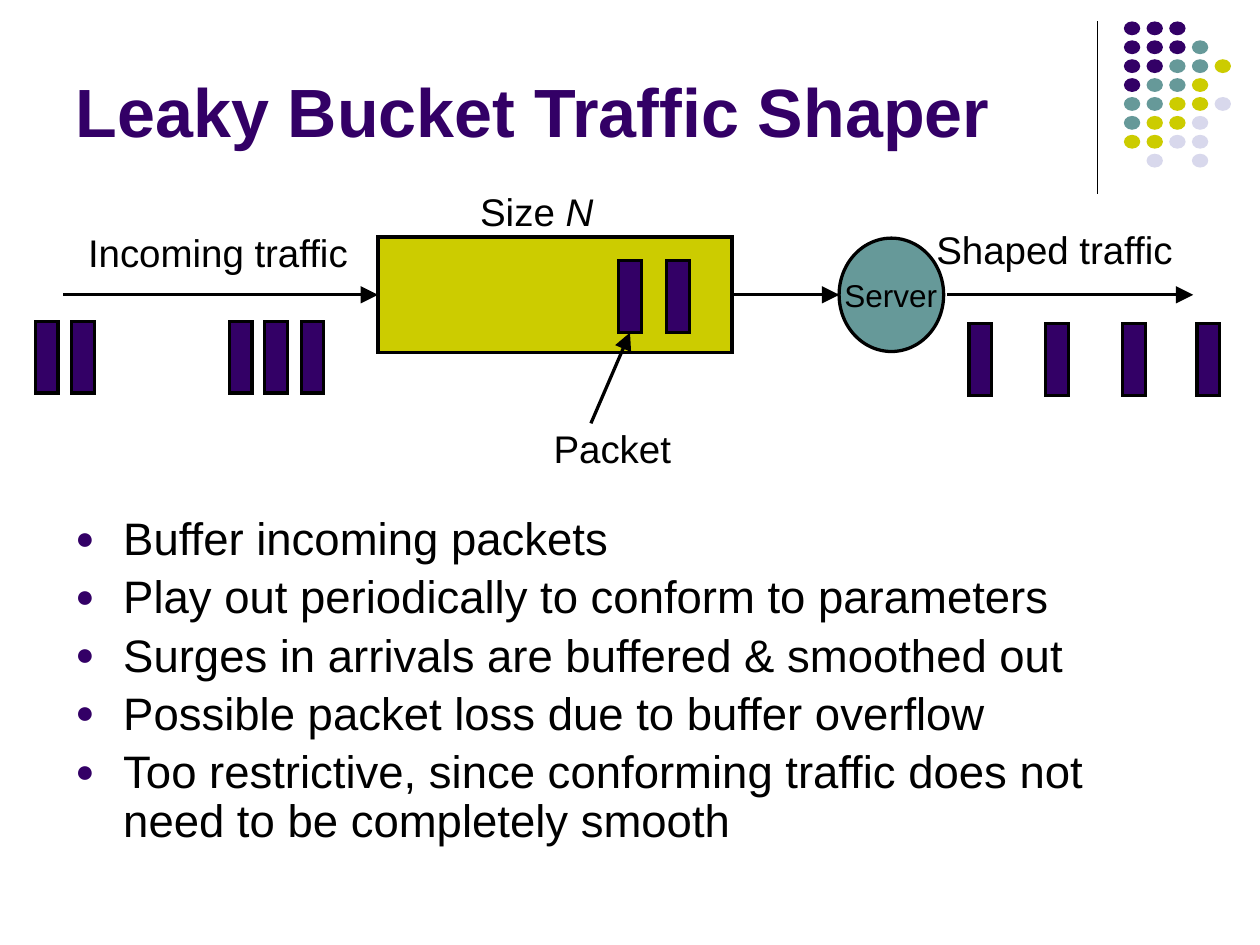
from lxml import etree
from pptx import Presentation
from pptx.dml.color import RGBColor
from pptx.enum.shapes import MSO_CONNECTOR as CONN, MSO_SHAPE as SHAPE
from pptx.enum.text import MSO_ANCHOR as ANCHOR, MSO_AUTO_SIZE as AUTO, PP_ALIGN as ALIGN
from pptx.oxml.ns import qn
from pptx.util import Inches, Pt

COLORS = {"purple": "330066", "teal": "669999", "olive": "CCCC00",
          "lilac": "D8D8EC", "black": "000000"}
RGB = {name: RGBColor.from_string(value) for name, value in COLORS.items()}

prs = Presentation()
prs.slide_width, prs.slide_height = Inches(10), Inches(7.5)
s = prs.slides.add_slide(prs.slide_layouts[5])


def add_shape(kind, x, y, w, h, fill, outlined=True):
    sp = s.shapes.add_shape(kind, Inches(x), Inches(y), Inches(w), Inches(h))
    sp.shadow.inherit = False
    sp.fill.solid()
    sp.fill.fore_color.rgb = RGB[fill]
    if outlined:
        sp.line.color.rgb = RGB["black"]
        sp.line.width = Pt(1.88)
        etree.SubElement(sp.line._get_or_add_ln(), qn("a:miter"), lim="800000")
    else:
        sp.line.fill.background()
    return sp


def add_run(p, text, size, color="black"):
    r = p.add_run()
    r.text = text
    r.font.name = "Arial"
    r.font.size = Pt(size)
    r.font.color.rgb = RGB[color]
    return r


title = s.shapes.title
title.left, title.top = Inches(0.5), Inches(0.13)
title.width, title.height = Inches(8.25), Inches(1.12)
tf = title.text_frame
tf.auto_size = AUTO.NONE
tf.vertical_anchor = ANCHOR.BOTTOM
p = tf.paragraphs[0]
p.alignment = ALIGN.LEFT
add_run(p, "Leaky Bucket Traffic Shaper", 39, "purple").font.bold = True

dot_colors = {"P": "purple", "T": "teal", "Y": "olive", "L": "lilac"}
dot_rows = ["PPP", "PPPT", "PPTTY", "PTTY", "TTYYL", "TYYL", "YYLL", " L L"]
for row, codes in enumerate(dot_rows):
    for col, code in enumerate(codes):
        if code in dot_colors:
            add_shape(SHAPE.OVAL, 8.92 + 0.18 * col, 0.17 + 0.15 * row,
                      0.13, 0.11, dot_colors[code], outlined=False)

bucket = add_shape(SHAPE.RECTANGLE, 3, 1.88, 2.81, 0.92, "olive")
server = add_shape(SHAPE.OVAL, 6.66, 1.89, 0.83, 0.9, "teal")

packet_rows = [(2.55, [0.28, 0.57, 1.82, 2.1, 2.39]),
               (2.57, [7.69, 8.3, 8.91, 9.5]),
               (2.07, [5.29, 4.91])]
for y, lefts in packet_rows:
    for x in lefts:
        packet = add_shape(SHAPE.RECTANGLE, x, y, 0.18, 0.57, "purple")

lines = [(8.71, 0.17, 8.71, 1.54, 0.75, None, None, False),
         (0.5, 2.34, 3, 2.34, 1.88, None, (bucket, 1), True),
         (5.81, 2.34, 6.66, 2.34, 1.88, (bucket, 3), None, True),
         (7.52, 2.34, 9.47, 2.34, 1.88, None, None, True),
         (4.69, 3.36, 5, 2.64, 1.88, None, (packet, 2), True)]
for x1, y1, x2, y2, width, start, end, arrow in lines:
    line = s.shapes.add_connector(CONN.STRAIGHT, Inches(x1), Inches(y1),
                                  Inches(x2), Inches(y2))
    line.line.color.rgb = RGB["black"]
    line.line.width = Pt(width)
    if start:
        line.begin_connect(*start)
    if end:
        line.end_connect(*end)
    if arrow:
        etree.SubElement(line.line._get_or_add_ln(), qn("a:tailEnd"),
                         type="triangle", w="lg", len="lg")
    etree.SubElement(line._element.spPr, qn("a:effectLst"))

labels = [(0.63, 1.82, 2.2, 0.37, 22, ["Incoming traffic"]),
          (7.37, 1.79, 2, 0.37, 22, ["Shaped traffic"]),
          (3.71, 1.49, 1.1, 0.37, 22, ["Size ", "N"]),
          (4.26, 3.37, 1.2, 0.37, 22, ["Packet"]),
          (6.62, 2.19, 0.9, 0.3, 18, ["Server"])]
for x, y, w, h, size, texts in labels:
    tf = s.shapes.add_textbox(Inches(x), Inches(y), Inches(w), Inches(h)).text_frame
    tf.margin_left = tf.margin_right = tf.margin_top = tf.margin_bottom = 0
    tf.word_wrap = False
    p = tf.paragraphs[0]
    p.alignment = ALIGN.CENTER
    for text in texts:
        r = add_run(p, text, size)
        if text == "N":
            r.font.italic = True

points = ["Buffer incoming packets",
          "Play out periodically to conform to parameters",
          "Surges in arrivals are buffered & smoothed out",
          "Possible packet loss due to buffer overflow",
          "Too restrictive, since conforming traffic does not need to be completely smooth"]
tf = s.shapes.add_textbox(Inches(0.5), Inches(4.05), Inches(9), Inches(2.91)).text_frame
tf.word_wrap = True
for i, text in enumerate(points):
    p = tf.add_paragraph() if i else tf.paragraphs[0]
    p.line_spacing = 0.9
    p.space_before = Pt(5.2)
    pPr = p._p.get_or_add_pPr()
    pPr.set("marL", str(Inches(0.38)))
    pPr.set("indent", str(-Inches(0.38)))
    bullet_color = etree.SubElement(pPr, qn("a:buClr"))
    etree.SubElement(bullet_color, qn("a:srgbClr"), val=COLORS["purple"])
    etree.SubElement(pPr, qn("a:buSzPct"), val="70000")
    etree.SubElement(pPr, qn("a:buFont"), typeface="Arial")
    etree.SubElement(pPr, qn("a:buChar"), char="●")
    add_run(p, text, 26)

prs.save("out.pptx")
